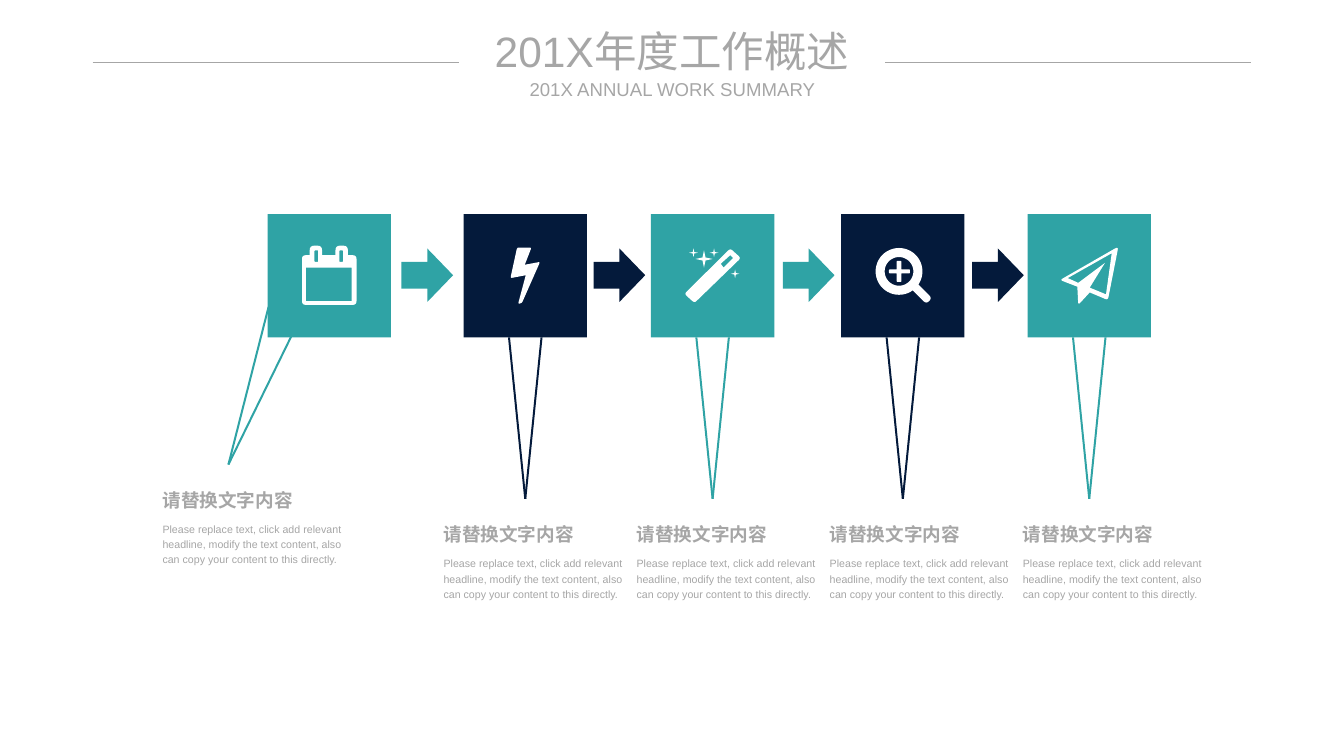
from math import cos, dist, pi, sin

from lxml import etree
from pptx import Presentation
from pptx.dml.color import RGBColor
from pptx.enum.shapes import MSO_CONNECTOR, MSO_SHAPE
from pptx.enum.text import MSO_ANCHOR, PP_ALIGN
from pptx.oxml.ns import qn
from pptx.util import Inches, Pt

RECT = MSO_SHAPE.RECTANGLE
ARROW = MSO_SHAPE.RIGHT_ARROW
LINE = MSO_CONNECTOR.STRAIGHT
TOP, MIDDLE = MSO_ANCHOR.TOP, MSO_ANCHOR.MIDDLE
LEFT, CENTER = PP_ALIGN.LEFT, PP_ALIGN.CENTER

COLORS = {"teal": "2FA3A5", "navy": "041A3B", "gray": "A6A6A6", "white": "FFFFFF"}
FONT = "Arial"
SIDE, ROW = 1.29, 2.24
HEAD = "请替换文字内容"
BODY = ("Please replace text, click add relevant headline, modify the text "
        "content, also can copy your content to this directly.")


def color(name):
    return RGBColor.from_string(COLORS[name])


def paint(shape, fill):
    shape.shadow.inherit = False
    shape.fill.solid()
    shape.fill.fore_color.rgb = color(fill)
    shape.line.fill.background()


def add_block(slide, kind, x, y, w, h, fill):
    shape = slide.shapes.add_shape(kind, Inches(x), Inches(y), Inches(w), Inches(h))
    paint(shape, fill)


def add_line(slide, start, end, tint, width):
    line = slide.shapes.add_connector(LINE, *map(Inches, (*start, *end)))
    line.line.color.rgb = color(tint)
    line.line.width = Pt(width)
    etree.SubElement(line._element.spPr, qn("a:effectLst"))


def add_text(slide, x, y, w, h, text, size, bold=False, align=LEFT,
             anchor=TOP, inset=0, space=None):
    box = slide.shapes.add_textbox(Inches(x), Inches(y), Inches(w), Inches(h))
    frame = box.text_frame
    frame.word_wrap = True
    frame.vertical_anchor = anchor
    frame.margin_left = frame.margin_right = 0
    frame.margin_top = frame.margin_bottom = Inches(inset)
    para = frame.paragraphs[0]
    para.alignment = align
    para.line_spacing = space
    run = para.add_run()
    run.text = text
    run.font.name = FONT
    run.font.size = Pt(size)
    run.font.bold = bold
    run.font.color.rgb = color("gray")


def soften(*corners):
    """Outline through (x, y) corners; a third value rounds that corner."""
    path = []
    for i, (x, y, *rest) in enumerate(corners):
        if not rest:
            path.append((x, y))
            continue
        ends = []
        for near in (corners[i - 1], corners[(i + 1) % len(corners)]):
            part = min(0.5, rest[0] / dist((x, y), near[:2]))
            ends.append((x + (near[0] - x) * part, y + (near[1] - y) * part))
        (ax, ay), (bx, by) = ends
        for t in (0, 0.25, 0.5, 0.75, 1):
            p, q, r = (1 - t) ** 2, 2 * t * (1 - t), t * t
            path.append((p * ax + q * x + r * bx, p * ay + q * y + r * by))
    return path


def ring(x, y, outer, inner, count):
    """Points around a centre, switching between two radii."""
    path = []
    for i in range(count):
        r = inner if i % 2 else outer
        turn = 2 * pi * i / count
        path.append((x + r * cos(turn), y + r * sin(turn)))
    return path


def disc(x, y, r):
    return ring(x, y, r, r, 48)


def star(x, y, r):
    return ring(x, y, r, r / 4, 8)


# Icon outlines are in hundredths of an inch from the corner of the square.
CALENDAR = [
    soften((36, 43, 4), (44, 43), (44, 33, 5), (57, 33, 5), (57, 43), (71, 43),
           (71, 33, 5), (84, 33, 5), (84, 43), (93, 43, 4), (93, 95, 4), (36, 95, 4)),
    soften((40, 56), (88, 56), (88, 91), (40, 91)),
    *(soften((x, 38, 1), (x + 4, 38, 1), (x + 4, 50, 1), (x, 50, 1)) for x in (49, 75)),
]
BOLT = [soften((56, 35, 2), (71, 35, 2), (64, 53), (80, 50, 2),
               (61, 93, 2), (57, 94, 2), (65, 64), (49, 67, 2))]
WAND = [
    soften((94, 46, 3), (45.5, 93, 3), (35, 83.5, 3), (83, 36, 3)),
    soften((86, 46), (83, 43), (73, 52), (76, 56)),
    star(44.5, 40.5, 4.5), star(55.5, 47, 9), star(66, 40.5, 4.5), star(88, 62.5, 4.5),
]
LENS = [
    disc(60.5, 60, 24.5), disc(60.5, 60, 15),
    soften((75, 80), (89, 94, 4), (95, 88, 4), (81, 74)),
    soften((50, 58, 1), (58, 58), (58, 49, 1), (63, 49, 1), (63, 58), (72, 58, 1),
           (72, 62, 1), (63, 62), (63, 71, 1), (58, 71, 1), (58, 62), (50, 62, 1)),
]
PLANE = [
    soften((95, 34, 4), (84, 90, 3), (65, 82), (53, 95, 3), (52, 76), (34, 69, 3)),
    soften((88, 41), (42, 67), (53, 72), (81, 51), (65, 77), (82, 84)),
]

STEPS = [(2.8, "teal", CALENDAR), (4.85, "navy", BOLT), (6.81, "teal", WAND),
         (8.8, "navy", LENS), (10.75, "teal", PLANE)]
ARROWS = [(4.2, "teal"), (6.21, "navy"), (8.19, "teal"), (10.17, "navy")]


def add_icon(slide, x, y, loops):
    pen = None
    for loop in loops:
        first, *rest = [(Inches(x + a / 100), Inches(y + b / 100)) for a, b in loop]
        if pen is None:
            pen = slide.shapes.build_freeform(*first)
        else:
            pen.move_to(*first)
        pen.add_line_segments(rest, close=True)
    paint(pen.convert_to_shape(), "white")


def add_step(slide, x, tint, icon, tip, feet):
    for foot in feet:
        add_line(slide, tip, foot, tint, 1.5)
    add_block(slide, RECT, x, ROW, SIDE, SIDE, tint)
    add_icon(slide, x, ROW, icon)


def add_note(slide, x, y):
    add_text(slide, x, y, 1.46, 0.37, HEAD, 14, bold=True, anchor=MIDDLE,
             inset=0.11, space=1.2)
    add_text(slide, x, y + 0.425, 1.92, 0.47, BODY, 8, space=1.2)


def add_title(slide):
    for x in (0.97, 9.26):
        add_line(slide, (x, 0.65), (x + 3.83, 0.65), "gray", 0.5)
    add_text(slide, 4.87, 0.26, 4.32, 0.54, "201X年度工作概述", 32,
             align=CENTER, anchor=MIDDLE)
    add_text(slide, 5.5, 0.81, 3.07, 0.24, "201X ANNUAL WORK SUMMARY", 14,
             align=CENTER, anchor=MIDDLE)


def main():
    deck = Presentation()
    deck.slide_width, deck.slide_height = Inches(14.06), Inches(7.91)
    slide = deck.slides.add_slide(deck.slide_layouts[6])
    for i, (x, tint, icon) in enumerate(STEPS):
        mid, base = x + SIDE / 2, ROW + SIDE
        tip, feet = (mid, 5.22), [(mid - 0.17, base), (mid + 0.17, base)]
        if i == 0:
            tip, feet = (2.39, 4.86), [(2.81, 3.21), (3.14, 3.33)]
        add_step(slide, x, tint, icon, tip, feet)
    for x, tint in ARROWS:
        add_block(slide, ARROW, x, 2.6, 0.54, 0.56, tint)
    add_note(slide, 1.7, 5.02)
    for i in range(4):
        add_note(slide, 4.64 + 2.02 * i, 5.38)
    add_title(slide)
    deck.save("out.pptx")


if __name__ == "__main__":
    main()
